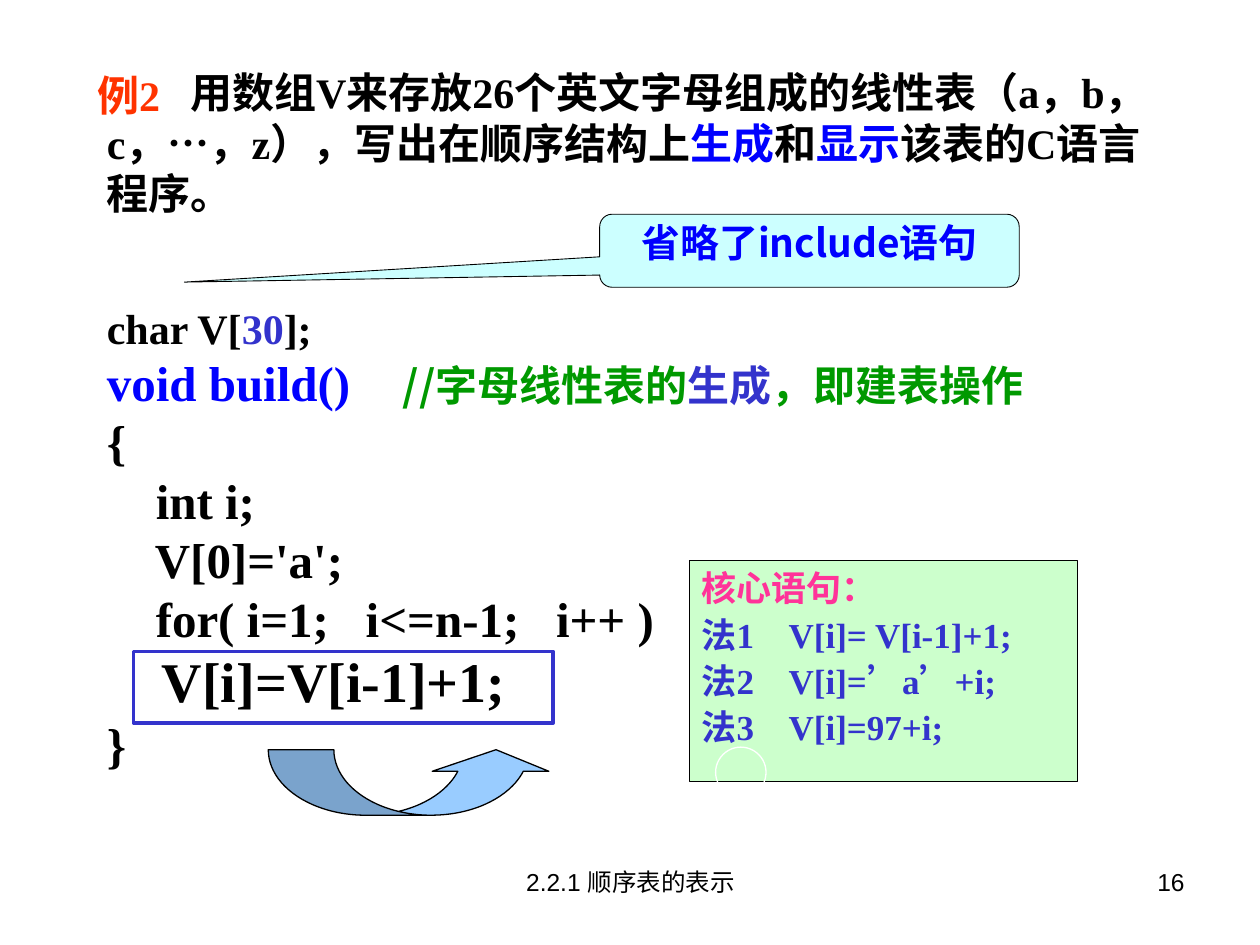
from lxml import etree
from pptx import Presentation
from pptx.dml.color import RGBColor
from pptx.enum.shapes import MSO_SHAPE
from pptx.enum.text import MSO_ANCHOR, PP_ALIGN
from pptx.oxml.ns import qn
from pptx.util import Inches, Pt

RECTANGLE = MSO_SHAPE.RECTANGLE
ELLIPSE = MSO_SHAPE.OVAL
CALLOUT = MSO_SHAPE.ROUNDED_RECTANGULAR_CALLOUT
CURVED_ARROW = MSO_SHAPE.CURVED_UP_ARROW
TOP = MSO_ANCHOR.TOP
LEFT, CENTER, RIGHT = PP_ALIGN.LEFT, PP_ALIGN.CENTER, PP_ALIGN.RIGHT
JUSTIFY = PP_ALIGN.JUSTIFY

SERIF, SANS, CJK = "Times New Roman", "Arial", "Noto Sans CJK SC"
BLACK, WHITE, BLUE, INDIGO = "000000", "FFFFFF", "0000FF", "3333CC"
GREEN, PINK, ORANGE = "009900", "FF3399", "FF3300"


def color(hex_value):
    """Turn a hex string into a colour."""
    return RGBColor.from_string(hex_value)


def run(text, size=24, ink=BLACK, font=SERIF, bold=True):
    """Describe one run of text."""
    return text, size, ink, font, bold


def write(frame, paragraphs, align=LEFT, spacing=None, tab=None, indent=None, wrap=True):
    """Fill a text frame with paragraphs, each a list of runs."""
    frame.word_wrap = wrap
    frame.vertical_anchor = TOP
    for index, runs in enumerate(paragraphs):
        paragraph = frame.paragraphs[0] if index == 0 else frame.add_paragraph()
        paragraph.alignment = align
        if spacing:
            paragraph.line_spacing = spacing
        properties = paragraph._p.get_or_add_pPr()
        if indent:
            properties.set("indent", str(Inches(indent)))
        if tab:
            stops = etree.SubElement(properties, qn("a:tabLst"))
            etree.SubElement(stops, qn("a:tab"), pos=str(Inches(tab)), algn="l")
        for text, size, ink, font, bold in runs:
            piece = paragraph.add_run()
            piece.text = text
            piece.font.size = Pt(size)
            piece.font.bold = bold
            piece.font.name = font
            piece.font.color.rgb = color(ink)
            east_asian = etree.SubElement(piece._r.get_or_add_rPr(), qn("a:ea"))
            east_asian.set("typeface", CJK)


def add_text(slide, box, paragraphs, top_inset=0.05, **layout):
    """Add a text box."""
    frame = slide.shapes.add_textbox(*map(Inches, box)).text_frame
    frame.margin_top = Inches(top_inset)
    write(frame, paragraphs, **layout)


def add_figure(slide, preset, box, line, width, fill=None, adjustments=()):
    """Add a preset shape with an outline and an optional fill."""
    figure = slide.shapes.add_shape(preset, *map(Inches, box))
    figure.shadow.inherit = False
    if fill:
        figure.fill.solid()
        figure.fill.fore_color.rgb = color(fill)
    else:
        figure.fill.background()
    figure.line.color.rgb = color(line)
    figure.line.width = Pt(width)
    for index, value in enumerate(adjustments):
        figure.adjustments[index] = value
    return figure


def add_program(slide):
    """Add the code listing."""
    add_text(slide, (0.75, 2.19, 8.5, 4), [
        [run("char V["), run("30", ink=INDIGO), run("];")],
        [run("void build()", 28, BLUE), run("\t"),
         run("//字母线性表的", ink=GREEN, font=CJK),
         run("生成", ink=INDIGO, font=CJK),
         run("，即建表操作", ink=GREEN, font=CJK)],
        [run("{", 28)],
        [run("    int i;", 28)],
        [run("    V[0]='a';", 28)],
        [run("    for( i=1;   i<=n-1;   i++ )", 28)],
        [run("    V[i]=V[i-1]+1;", 32)],
        [run("}", 28)],
    ], top_inset=0.21, align=JUSTIFY, tab=2.35)


def add_core_statements(slide):
    """Add the panel with the three ways to write the core statement."""
    panel = add_figure(slide, RECTANGLE, (5.47, 4.45, 3.08, 1.75), BLACK, 0.75, "CCFFCC")
    statements = ["V[i]= V[i-1]+1;", "V[i]=’a’+i;", "V[i]=97+i;"]
    methods = [[run(f"法{number}\t{statement}", 20, INDIGO)]
               for number, statement in enumerate(statements, 1)]
    write(panel.text_frame, [[run("核心语句：", 20, PINK)]] + methods,
          align=JUSTIFY, spacing=1.1, tab=0.69)
    panel.text_frame.paragraphs[0].line_spacing = 1.0


def add_problem(slide):
    """Add the problem statement."""
    add_text(slide, (0.75, 0.48, 8.58, 1.3), [[
        run("用数组V来存放26个英文字母组成的线性表（a，b，c，…，z），写出在顺序结构上"),
        run("生成", ink=BLUE), run("和"), run("显示", ink=BLUE),
        run("该表的C语言程序。"),
    ]], indent=0.66)


def main():
    """Build the slide and save it."""
    deck = Presentation()
    deck.slide_width, deck.slide_height = Inches(10), Inches(7.5)
    slide = deck.slides.add_slide(deck.slide_layouts[6])

    add_text(slide, (7.17, 6.83, 2.33, 0.52),
             [[run("16", 14, font=SANS, bold=False)]], align=RIGHT)
    add_program(slide)
    add_core_statements(slide)
    add_figure(slide, RECTANGLE, (1.06, 5.17, 3.33, 0.57), INDIGO, 2)
    add_text(slide, (0.63, 0.5, 0.78, 0.5), [[run("例2", ink=ORANGE)]],
             align=CENTER, wrap=False)
    add_figure(slide, CURVED_ARROW, (2.13, 5.95, 2.27, 0.52), BLACK, 0.75,
               "99CCFF", (1.4, 1.78, 0.33))
    add_figure(slide, ELLIPSE, (5.68, 5.93, 0.4, 0.4), WHITE, 0.75)
    add_problem(slide)
    callout = add_figure(slide, CALLOUT, (4.76, 1.7, 3.33, 0.58), BLACK, 0.5,
                         "CCFFFF", (-1.49, 0.43, 0.17))
    write(callout.text_frame, [[run("省略了include语句", 22.2, BLUE, CJK)]],
          align=CENTER, spacing=0.9)
    add_text(slide, (3.42, 6.83, 3.17, 0.52),
             [[run("2.2.1 顺序表的表示", 14, font=SANS, bold=False)]], align=CENTER)

    deck.save("out.pptx")


if __name__ == "__main__":
    main()
